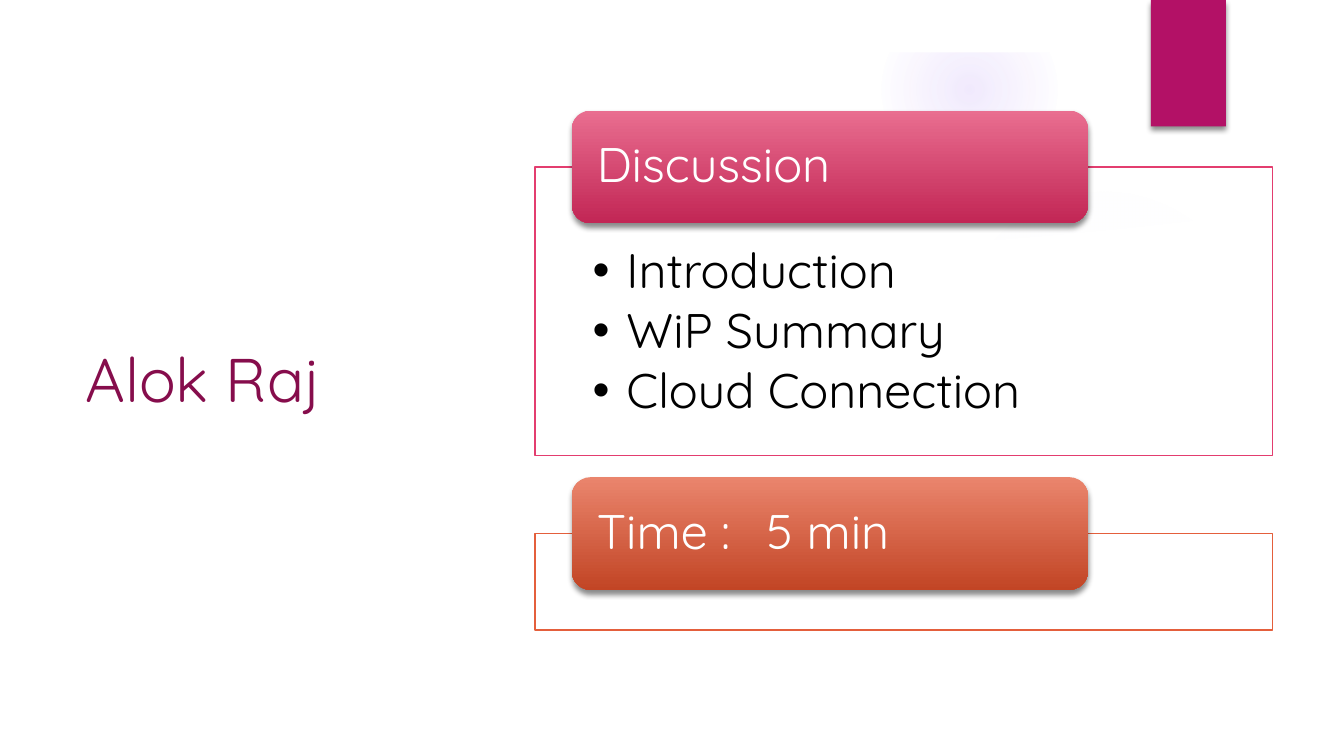
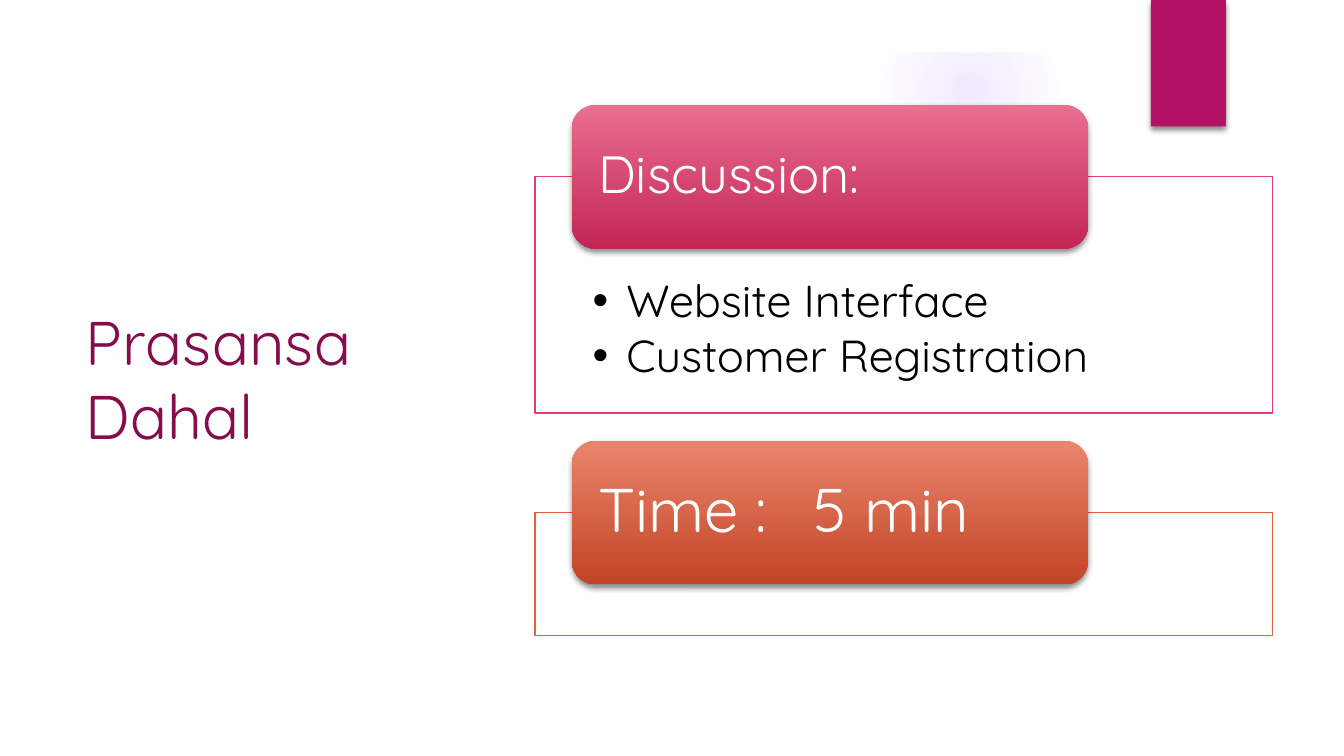
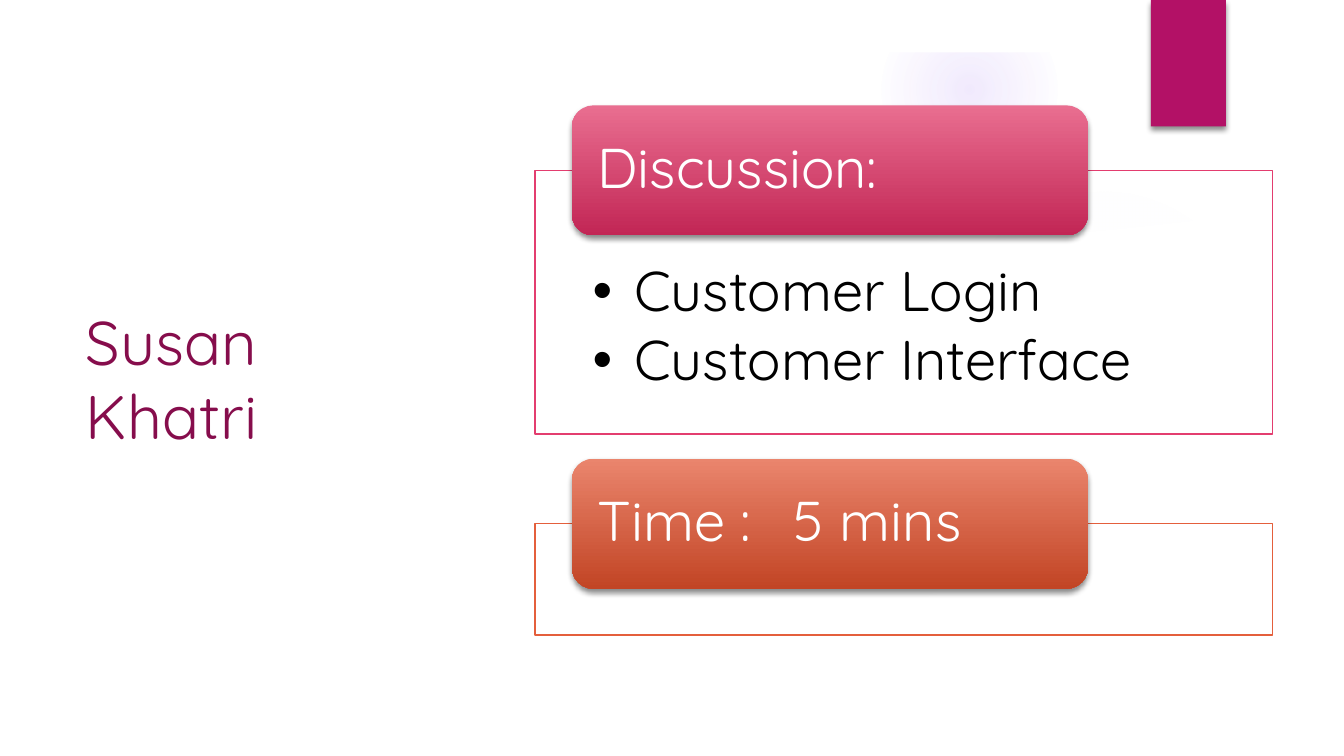
from pptx import Presentation, util as u
from pptx.dml.color import RGBColor
from pptx.enum import shapes, text
from pptx.oxml import parse_xml
from pptx.oxml.ns import qn, nsdecls

# Content: tab height and list box height are in cm, sizes in points
TALKS = [
    dict(name="Alok Raj", head="Discussion", time="Time : \t5 min",
         items=["Introduction", "WiP Summary", "Cloud Connection"],
         tab=2.13, box=5.46, hang=0.64, size=dict(head=26, item=26, time=26)),
    dict(name="Prasansa Dahal", head="Discussion:", time="Time : \t5 min",
         items=["Website Interface", "Customer Registration"],
         tab=2.72, box=4.47, hang=0.64, size=dict(head=28, item=24, time=33)),
    dict(name="Susan \vKhatri", head="Discussion:", time="Time : \t5 mins",
         items=["Customer Login", "Customer Interface"],
         tab=2.46, box=4.98, hang=0.79, size=dict(head=30, item=30, time=30)),
]

THEME = dict(
    font="Quicksand", title=33, name="860D4C", ink="000000", white="FFFFFF",
    band="B31166", glow="9B6BF2",
    pink=("E33D6F", "E96E90", "C22655"),      # line, gradient top, gradient end
    rust=("E45F3C", "EA856D", "C24525"),
)

# Backdrop, in cm: glows as place, size and (position, opacity) stops
WIDE, HIGH, EDGE = 25.4, 14.29, 0.99
GLOWS = [
    (17.93, 3.51, 5.87, [(0, 7), (36, 6), (69, 0)]),
    (16.66, 0.03, 3.33, [(0, 14), (36, 7), (73, 0)]),
]
CURVE = [(24.46, 3.89), (22.86, 4.14), (21.26, 4.32), (19.66, 4.47),
         (18.08, 4.6), (16.51, 4.67), (14.99, 4.7), (13, 4.72),
         (11.1, 4.7), (9.3, 4.65), (7.65, 4.55), (6.1, 4.45),
         (4.75, 4.32), (3.56, 4.19), (2.57, 4.09), (1.5, 3.96), (0.97, 3.89)]
BAND = (21.75, 0, 1.42, 2.39)

# Diagram frame, in cm
LEFT, SPAN, MID = 10.11, 13.94, 7.0


def rgb(code):
    return RGBColor.from_string(code)


def place(shape, *spot):
    shape.left, shape.top, shape.width, shape.height = map(u.Cm, spot)


def paint(shape, fill, line=None, clear=None):
    shape.fill.solid()
    shape.fill.fore_color.rgb = rgb(fill)
    if clear:
        tint = shape.element.spPr.find(qn("a:solidFill"))[0]
        tint.append(parse_xml(f'<a:alpha {nsdecls("a")} val="{clear * 1000}"/>'))
    if line:
        shape.line.color.rgb = rgb(line)
        shape.line.width = u.Pt(0.75)
    else:
        shape.line.fill.background()


def blend(shape, stops, way):
    """Gradient fill from (position, colour, opacity) stops."""
    shape.line.fill.background()
    shape.fill.gradient()
    old = shape.element.spPr.find(qn("a:gradFill"))
    marks = "".join(
        f'<a:gs pos="{pos * 1000}"><a:srgbClr val="{tint}">'
        f'<a:alpha val="{seen * 1000}"/></a:srgbClr></a:gs>'
        for pos, tint, seen in stops)
    new = parse_xml(f'<a:gradFill {nsdecls("a")} rotWithShape="1">'
                    f'<a:gsLst>{marks}</a:gsLst>{way}</a:gradFill>')
    old.getparent().replace(old, new)


ROUND = ('<a:path path="circle"><a:fillToRect l="50000" t="50000" '
         'r="50000" b="50000"/></a:path>')
DOWN = '<a:lin ang="5400000" scaled="0"/>'


def shade(shape):
    shape.shadow.inherit = False
    shape.element.spPr.find(qn("a:effectLst")).append(parse_xml(
        f'<a:outerShdw {nsdecls("a")} blurRad="38100" dist="25400" '
        'dir="5400000" rotWithShape="0"><a:srgbClr val="000000">'
        '<a:alpha val="45000"/></a:srgbClr></a:outerShdw>'))


def add(slide, kind, *spot):
    shape = slide.shapes.add_shape(kind, *map(u.Cm, spot))
    shape.shadow.inherit = False
    return shape


def outline(slide, *loops):
    pen = None
    for loop in loops:
        pts = [(u.Cm(x), u.Cm(y)) for x, y in loop]
        if pen is None:
            pen = slide.shapes.build_freeform(*pts[0], scale=1.0)
        else:
            pen.move_to(*pts[0])
        pen.add_line_segments(pts[1:], close=True)
    shape = pen.convert_to_shape()
    shape.shadow.inherit = False
    paint(shape, THEME["white"])
    return shape


def style(par, size, tint):
    par.font.name, par.font.size = THEME["font"], u.Pt(size)
    par.font.color.rgb = rgb(tint)
    par.alignment = text.PP_ALIGN.LEFT


def setup(frame, anchor, **pads):
    frame.word_wrap = True
    frame.auto_size = text.MSO_AUTO_SIZE.NONE
    frame.vertical_anchor = anchor
    for side, pad in pads.items():
        setattr(frame, "margin_" + side, u.Cm(pad))


def backdrop(slide, layout):
    """Draw the shared parts and move them to the layout."""
    parts = []
    for x, y, side, stops in GLOWS:
        glow = add(slide, shapes.MSO_SHAPE.OVAL, x, y, side, side)
        blend(glow, [(p, THEME["glow"], a) for p, a in stops], ROUND)
        parts.append(glow)
    parts.append(outline(slide, CURVE + [(0.97, 13.34), (24.46, 13.34)]))
    far, low = WIDE - EDGE, HIGH - EDGE
    parts.append(outline(
        slide,
        [(0, 0), (0, HIGH), (WIDE, HIGH), (WIDE, 0)],
        [(far, low), (EDGE, low), (EDGE, EDGE), (far, EDGE)]))
    band = add(slide, shapes.MSO_SHAPE.RECTANGLE, *BAND)
    paint(band, THEME["band"])
    shade(band)
    parts.append(band)
    for spot, part in enumerate(parts, 2):
        layout.shapes.element.insert(spot, part.element)


def label(slide, words, size, top, high, hues):
    """Rounded tab that overlaps the top line of its box."""
    tab = add(slide, shapes.MSO_SHAPE.ROUNDED_RECTANGLE,
              LEFT + 0.05 * SPAN, top, 0.7 * SPAN, high)
    blend(tab, [(0, hues[1], 100), (100, hues[2], 100)], DOWN)
    shade(tab)
    # The rounded corners add their own inset
    setup(tab.text_frame, text.MSO_ANCHOR.MIDDLE,
          left=0.37, right=0.37, top=0, bottom=0)
    par = tab.text_frame.paragraphs[0]
    par.text = words
    par.line_spacing = 0.9
    style(par, size, THEME["white"])
    # Tab stops grow with the type: 3.5 em
    par._p.get_or_add_pPr().set("defTabSz", str(u.Pt(3.5 * size)))


def bullets(body, talk):
    setup(body.text_frame, text.MSO_ANCHOR.TOP,
          left=1.09, right=1.09, top=0.71 * talk["tab"], bottom=0.5)
    body.text_frame.text = "\n".join(talk["items"])
    size, hang = talk["size"]["item"], u.Cm(talk["hang"])
    for par in body.text_frame.paragraphs:
        style(par, size, THEME["ink"])
        par.line_spacing = 0.9
        par.space_before, par.space_after = u.Pt(0), u.Pt(0.15 * size)
        props = par._p.get_or_add_pPr()
        props.set("marL", str(hang))
        props.set("indent", str(-hang))
        props.append(parse_xml(f'<a:buChar {nsdecls("a")} char="•"/>'))
        # Keep the bullet ahead of the default run properties
        props.append(props.find(qn("a:defRPr")))


def build(slide, talk):
    title, body = slide.placeholders
    place(title, 1.37, 2.87, 7.39, 8.53)
    setup(title.text_frame, text.MSO_ANCHOR.MIDDLE)
    title.text_frame.text = talk["name"]
    style(title.text_frame.paragraphs[0], THEME["title"], THEME["name"])

    # Both boxes with their tabs are centred as one block
    tab, box, size = talk["tab"], talk["box"], talk["size"]
    gap, rest = 0.19 * tab, 0.857 * tab
    top = MID - (tab + box + gap + rest) / 2
    next_top = top + tab / 2 + box + gap

    place(body, LEFT, top + tab / 2, SPAN, box)
    paint(body, THEME["white"], THEME["pink"][0], 90)
    bullets(body, talk)
    label(slide, talk["head"], size["head"], top, tab, THEME["pink"])

    slot = add(slide, shapes.MSO_SHAPE.RECTANGLE,
               LEFT, next_top + tab / 2, SPAN, rest)
    paint(slot, THEME["white"], THEME["rust"][0], 90)
    label(slide, talk["time"], size["time"], next_top, tab, THEME["rust"])


deck = Presentation()
deck.slide_width, deck.slide_height = u.Cm(WIDE), u.Cm(HIGH)
layout = deck.slide_layouts[1]
for turn, talk in enumerate(TALKS):
    slide = deck.slides.add_slide(layout)
    if turn == 0:
        backdrop(slide, layout)
    build(slide, talk)
deck.save("out.pptx")
